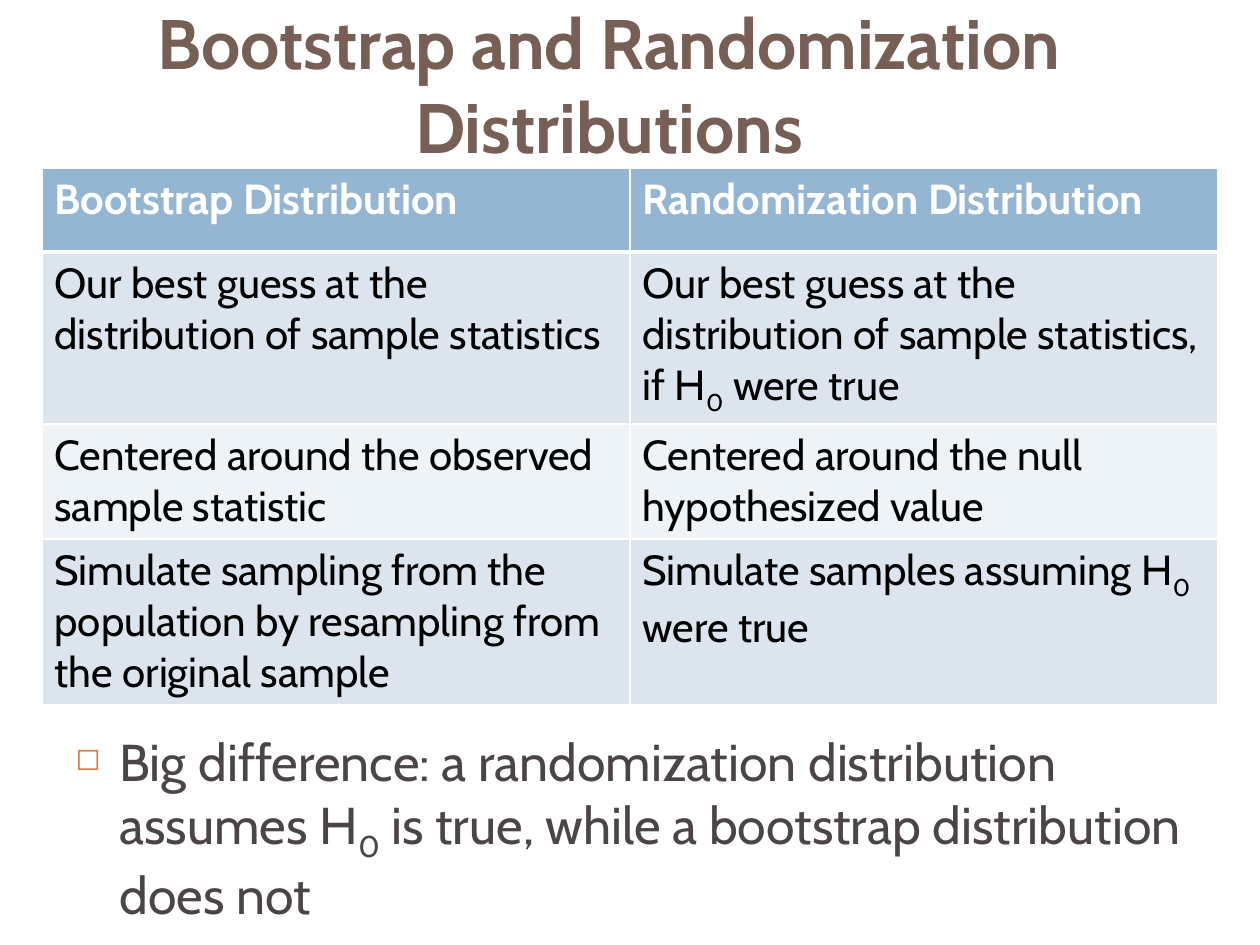
import pptx
import pptx.dml.color
import pptx.enum.text
import pptx.oxml
import pptx.oxml.ns
import pptx.util
from lxml import etree

RGBColor = pptx.dml.color.RGBColor
BROWN = RGBColor(0x77, 0x5F, 0x55)
BODY_GRAY = RGBColor(0x4C, 0x45, 0x45)
ORANGE = RGBColor(0xDD, 0x80, 0x47)
HEADER_BLUE = RGBColor(0x94, 0xB6, 0xD2)
BAND_DARK = RGBColor(0xDC, 0xE5, 0xEE)
BAND_LIGHT = RGBColor(0xEE, 0xF3, 0xF7)
WHITE = RGBColor(0xFF, 0xFF, 0xFF)
BLACK = RGBColor(0x00, 0x00, 0x00)

FONT = "Cabin"
EMU_PER_PX = 914400 // 126
ROW_HEIGHTS = [84, 171, 115, 155]
ROWS = [
    ("Bootstrap Distribution", "Randomization Distribution"),
    ("Our best guess at the distribution of sample statistics",
     "Our best guess at the distribution of sample statistics, if H|0| were true"),
    ("Centered around the observed sample statistic",
     "Centered around the null hypothesized value"),
    ("Simulate sampling from the population by resampling from the original sample",
     "Simulate samples assuming H|0| were true"),
]


def px(length):
    return pptx.util.Emu(length * EMU_PER_PX)


def add_child(parent, tag, **attributes):
    child = etree.SubElement(parent, pptx.oxml.ns.qn(tag))
    for name, value in attributes.items():
        child.set(name, str(value))
    return child


def write_text(paragraph, text, *, size, color, bold=False, align=None):
    """Write text into a paragraph; parts between bars are subscripts."""
    paragraph.alignment = align
    for index, part in enumerate(text.split("|")):
        run = paragraph.add_run()
        run.text = part
        run.font.name = FONT
        run.font.size = pptx.util.Pt(size)
        run.font.bold = bold
        run.font.color.rgb = color
        if index % 2:
            run.font._element.set("baseline", "-25000")


def add_title(slide, left, top, width, height):
    title = slide.shapes.title
    title.left, title.top = px(left), px(top)
    title.width, title.height = px(width), px(height)
    frame = title.text_frame
    frame.auto_size = pptx.enum.text.MSO_AUTO_SIZE.NONE
    frame.vertical_anchor = pptx.enum.text.MSO_ANCHOR.MIDDLE
    write_text(frame.paragraphs[0], "Bootstrap and Randomization Distributions",
               size=40, color=BROWN, bold=True, align=pptx.enum.text.PP_ALIGN.CENTER)


def set_borders(cell, bottom_width):
    properties = cell._tc.get_or_add_tcPr()
    widths = {"a:lnL": 1, "a:lnR": 1, "a:lnT": 1, "a:lnB": bottom_width}
    for position, (tag, width) in enumerate(widths.items()):
        line = add_child(properties, tag, w=pptx.util.Pt(width))
        add_child(add_child(line, "a:solidFill"), "a:srgbClr", val=WHITE)
        # Border lines come before the cell's fill
        properties.insert(position, line)


def add_comparison_table(slide, left, top, width):
    shape = slide.shapes.add_table(len(ROWS), 2, px(left), px(top),
                                   px(width), px(sum(ROW_HEIGHTS)))
    table = shape.table
    table.horz_banding = False
    for column in table.columns:
        column.width = px(width // 2)
    for row_index, (texts, height) in enumerate(zip(ROWS, ROW_HEIGHTS)):
        table.rows[row_index].height = px(height)
        header = row_index == 0
        band = BAND_DARK if row_index % 2 else BAND_LIGHT
        for column_index, text in enumerate(texts):
            cell = table.cell(row_index, column_index)
            cell.fill.solid()
            cell.fill.fore_color.rgb = HEADER_BLUE if header else band
            set_borders(cell, bottom_width=3 if header else 1)
            write_text(cell.text_frame.paragraphs[0], text, size=24,
                       color=WHITE if header else BLACK, bold=header)


def add_conclusion(slide, left, top, width, height):
    box = slide.shapes.add_textbox(px(left), px(top), px(width), px(height))
    box.text_frame.word_wrap = True
    paragraph = box.text_frame.paragraphs[0]
    # Hollow square bullet with a hanging indent
    properties = paragraph._p.get_or_add_pPr()
    properties.set("marL", str(px(44)))
    properties.set("indent", str(px(-44)))
    add_child(add_child(properties, "a:buClr"), "a:srgbClr", val=ORANGE)
    add_child(properties, "a:buSzPct", val=60000)
    add_child(properties, "a:buChar", char="◻")
    write_text(paragraph, "Big difference: a randomization distribution assumes H|0|"
               " is true, while a bootstrap distribution does not",
               size=29.6, color=BODY_GRAY)


def main():
    presentation = pptx.Presentation()
    presentation.slide_width = px(1260)
    presentation.slide_height = px(945)
    slide = presentation.slides.add_slide(presentation.slide_layouts[5])
    add_title(slide, 0, 42, 1218, 84)
    add_comparison_table(slide, 42, 168, 1176)
    add_conclusion(slide, 63, 724, 1197, 147)
    presentation.save("out.pptx")


if __name__ == "__main__":
    main()
